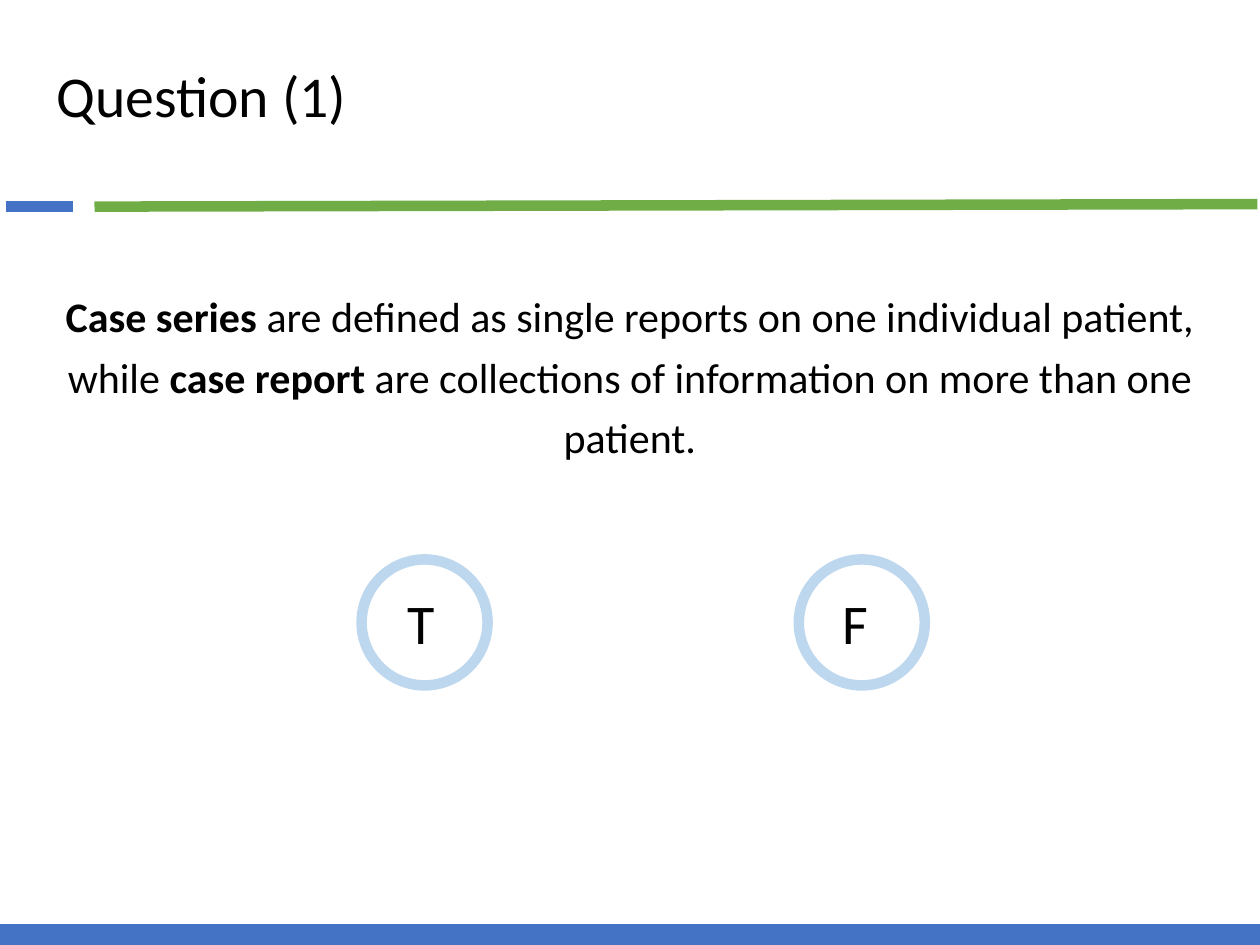
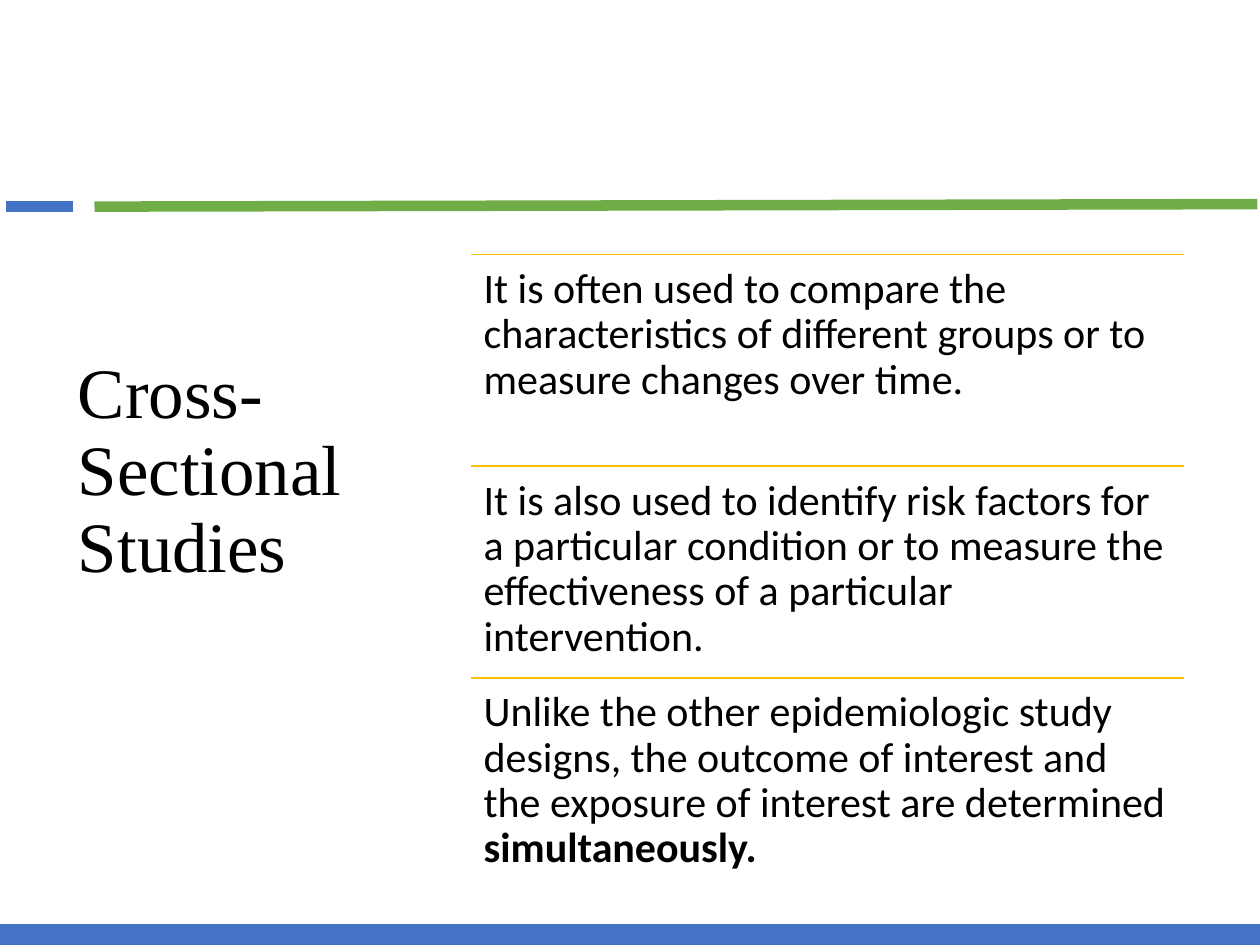
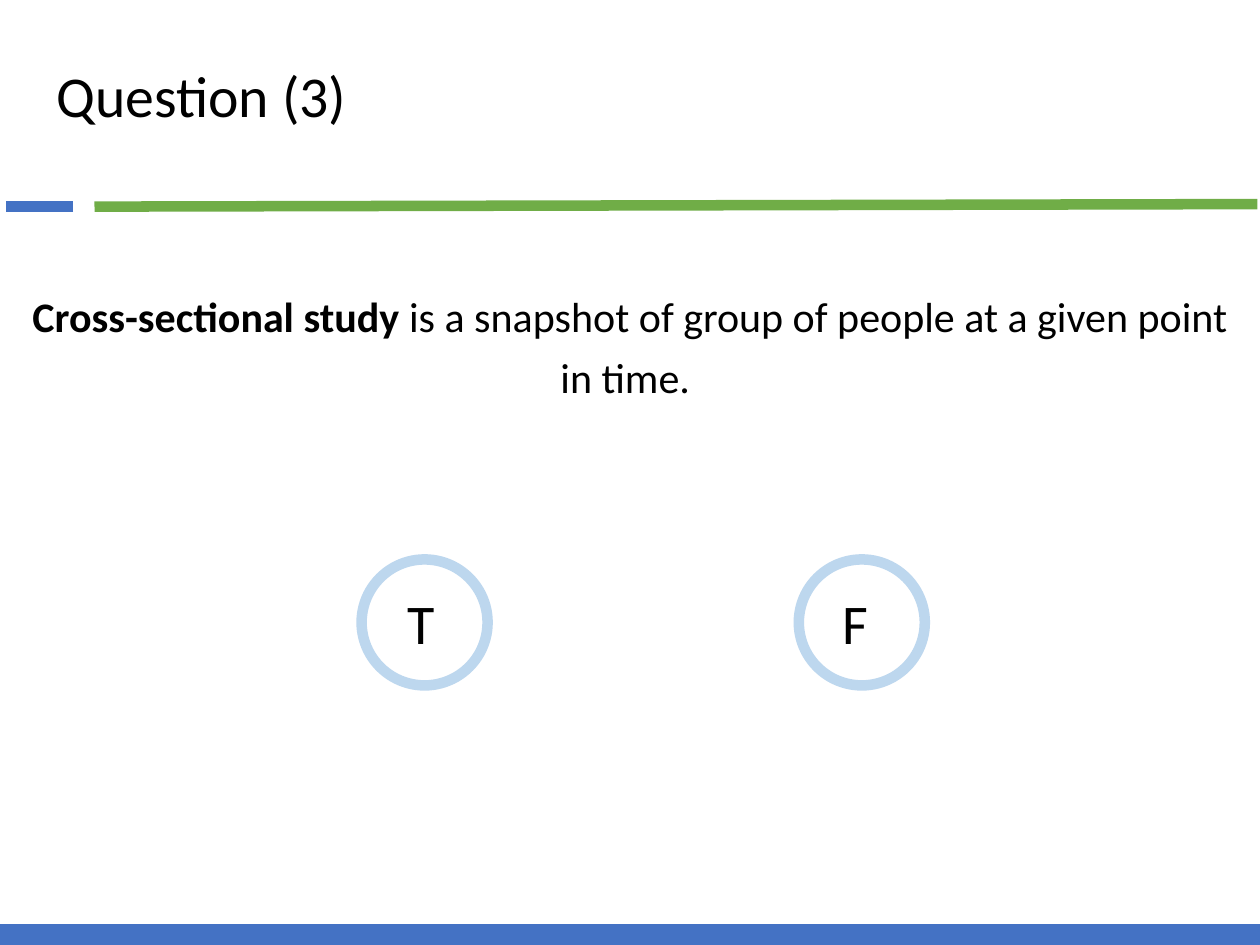
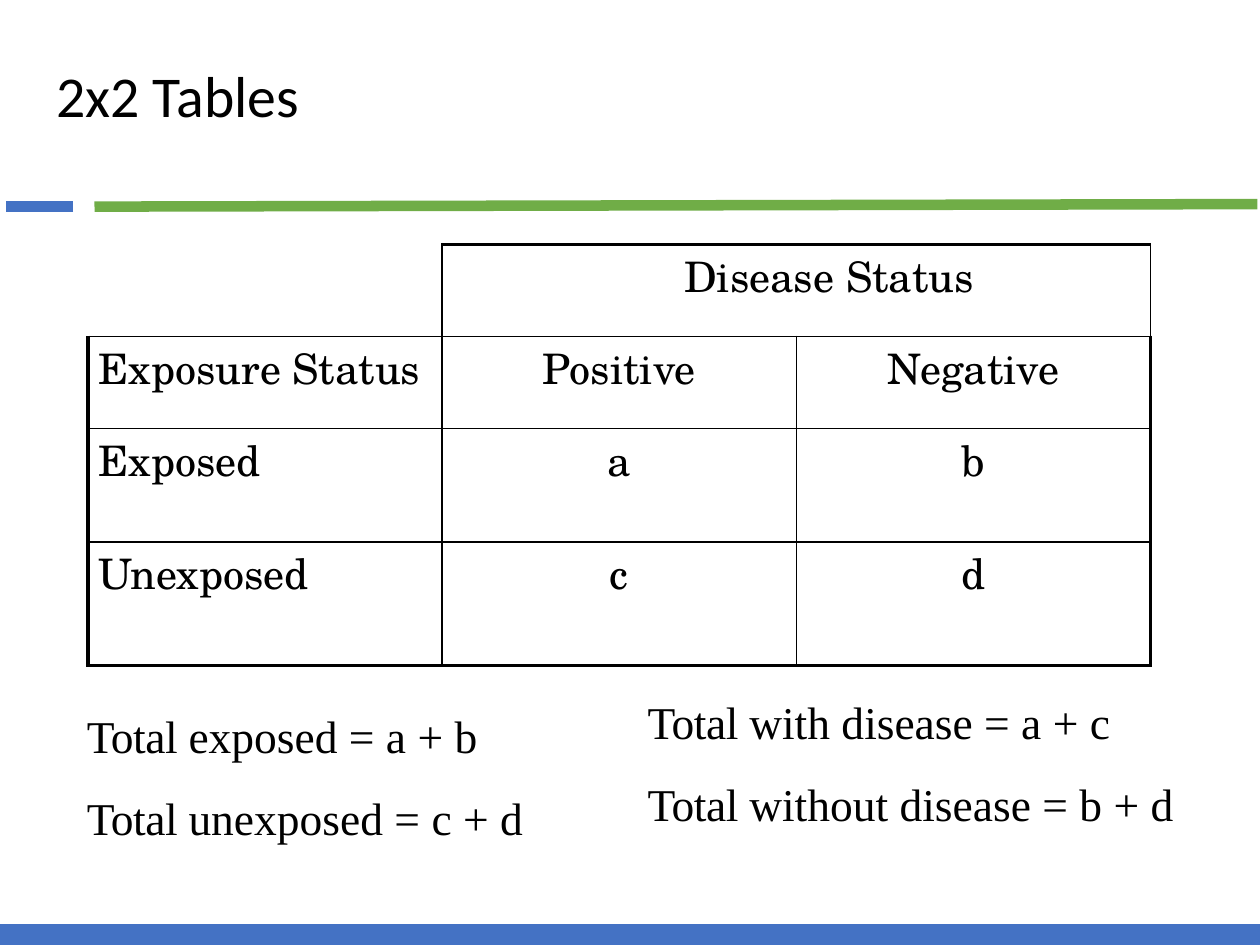
from lxml import etree
from pptx import Presentation
from pptx.dml.color import RGBColor
from pptx.enum.shapes import MSO_CONNECTOR, MSO_SHAPE
from pptx.enum.text import MSO_ANCHOR, PP_ALIGN
from pptx.oxml.ns import qn
from pptx.util import Pt

STRAIGHT, ELLIPSE = MSO_CONNECTOR.STRAIGHT, MSO_SHAPE.OVAL
TOP, MIDDLE = MSO_ANCHOR.TOP, MSO_ANCHOR.MIDDLE
LEFT, CENTER = PP_ALIGN.LEFT, PP_ALIGN.CENTER

# Lengths are px, 100 to the inch
EMU_PER_PX = 9144
SLIDE_SIZE = (1000, 750)
BLANK_LAYOUT = 6

BLACK, WHITE = "000000", "FFFFFF"
GREEN, BLUE, PALE_BLUE, GOLD = "70AD47", "4472C4", "BDD7EE", "FFC000"
SANS, SERIF, SCHOOL = "Calibri", "Times New Roman", "TeX Gyre Schola"

# Lines on every slide: start, end, colour, width in points
BANDS = [
    ((998, 162), (75, 164), GREEN, 6),
    ((58, 164), (5, 164), BLUE, 6),
    ((1000, 742), (0, 742), BLUE, 12),
]
TITLE_BOX = (35, 22, 955, 112)
SIDE_TITLE_BOX = (52, 146, 280, 458)
DEFAULT_INSETS = (10, 5, 10, 5)

# Questions: statement as (text, bold) parts
QUESTION_1 = ("Question (1)", [
    ("Case series ", True),
    ("are defined as single reports on one individual patient, while ", False),
    ("case report ", True),
    ("are collections of information on more than one patient.", False),
])
QUESTION_3 = ("Question (3)", [
    ("Cross-sectional study ", True),
    ("is a snapshot of group of people at a given point in time. ", False),
])
STATEMENT_BOX = (10, 218, 980, 196)
# Answers: left edge, (text, size, colour) parts
ANSWERS = [
    (287, [("T", 32, BLACK), (" ", 18, WHITE)]),
    (634, [("F ", 32, BLACK)]),
]
ANSWER_TOP, ANSWER_SIZE = 444, 100

# Cross-sectional studies
STUDY_TITLE = "Cross- Sectional Studies"
STUDY_POINTS = [
    [("It is often used to compare the characteristics of different groups "
      "or to measure changes over time.", False)],
    [("It is also used to identify risk factors for a particular condition "
      "or to measure the effectiveness of a particular intervention.", False)],
    [("Unlike the other epidemiologic study designs, the outcome of interest "
      "and the exposure of interest are determined ", False),
     ("simultaneously.", True)],
]
POINT_LEFT, POINT_TOP, POINT_WIDTH, POINT_HEIGHT = 374, 202, 566, 168

# 2x2 table
TABLE_TITLE = "2x2 Tables"
TABLE_ROWS = [
    ["", "Disease Status", ""],
    ["Exposure Status", "Positive", "Negative"],
    ["Exposed", "a", "b"],
    ["Unexposed", "c", "d"],
]
TABLE_LEFT, TABLE_TOP, COLUMN_WIDTH = 70, 194, 281
ROW_HEIGHTS = [73, 73, 90, 98]
ROW_SPACE_BEFORE = [10.5, 11.1, 17.1, 20.1]
LABEL_INDENT, HEADING_INDENT = 8, 192
OUTER_BORDER, INNER_BORDER = 2.25, 1
# Totals: box, line spacing, space before the second line, endings after "Total "
TOTALS = [
    ((513, 551, 422, 110), 1, 15.6, ["with disease = a + c", "without disease = b + d"]),
    ((68, 540, 350, 131), 1.5, 0, ["exposed = a + b", "unexposed = c + d"]),
]


def px(length):
    return int(length * EMU_PER_PX)


def rgb(value):
    return RGBColor.from_string(value)


def add_line(slide, start, end, color, width):
    line = slide.shapes.add_connector(STRAIGHT, *map(px, start + end))
    line.line.color.rgb = rgb(color)
    line.line.width = Pt(width)
    etree.SubElement(line._element.spPr, qn("a:effectLst"))


def add_run(paragraph, text, size, font=SANS, color=BLACK, bold=False, tracking=0):
    run = paragraph.add_run()
    run.text = text
    run.font.size = Pt(size)
    run.font.name = font
    run.font.color.rgb = rgb(color)
    run.font.bold = bold
    if tracking:
        run.font._element.set("spc", str(round(tracking * 100)))


def format_paragraph(paragraph, align=LEFT, line_spacing=1, before=0, after=0):
    paragraph.alignment = align
    paragraph.line_spacing = line_spacing
    paragraph.space_before = Pt(before)
    paragraph.space_after = Pt(after)


def add_text_frame(slide, box, anchor=TOP, insets=DEFAULT_INSETS):
    frame = slide.shapes.add_textbox(*map(px, box)).text_frame
    frame.word_wrap = True
    frame.vertical_anchor = anchor
    (frame.margin_left, frame.margin_top,
     frame.margin_right, frame.margin_bottom) = map(px, insets)
    return frame


def add_title(slide, text, box=TITLE_BOX, size=33, font=SANS):
    paragraph = add_text_frame(slide, box, MIDDLE).paragraphs[0]
    format_paragraph(paragraph, line_spacing=0.9)
    add_run(paragraph, text, size, font)


def add_slide(presentation):
    slide = presentation.slides.add_slide(presentation.slide_layouts[BLANK_LAYOUT])
    for band in BANDS:
        add_line(slide, *band)
    return slide


def add_question_slide(presentation, title, statement):
    slide = add_slide(presentation)
    add_title(slide, title)
    paragraph = add_text_frame(slide, STATEMENT_BOX).paragraphs[0]
    format_paragraph(paragraph, CENTER, 1.2, 12, 12)
    for text, bold in statement:
        add_run(paragraph, text, 24, bold=bold)
    for left, parts in ANSWERS:
        circle = slide.shapes.add_shape(
            ELLIPSE, *map(px, (left, ANSWER_TOP, ANSWER_SIZE, ANSWER_SIZE)))
        circle.shadow.inherit = False
        circle.fill.background()
        circle.line.color.rgb = rgb(PALE_BLUE)
        circle.line.width = Pt(6)
        circle.text_frame.vertical_anchor = MIDDLE
        paragraph = circle.text_frame.paragraphs[0]
        paragraph.alignment = CENTER
        for text, size, color in parts:
            add_run(paragraph, text, size, color=color)


def add_study_slide(presentation):
    slide = add_slide(presentation)
    add_title(slide, STUDY_TITLE, SIDE_TITLE_BOX, 40.5, SERIF)
    for index, point in enumerate(STUDY_POINTS):
        top = POINT_TOP + index * POINT_HEIGHT
        add_line(slide, (POINT_LEFT, top), (POINT_LEFT + POINT_WIDTH, top), GOLD, 1)
        frame = add_text_frame(slide, (POINT_LEFT, top, POINT_WIDTH, POINT_HEIGHT),
                               insets=(10, 10, 10, 10))
        format_paragraph(frame.paragraphs[0], line_spacing=0.9, after=8.4)
        for text, bold in point:
            add_run(frame.paragraphs[0], text, 24, bold=bold)


def set_borders(cell, widths):
    properties = cell._tc.get_or_add_tcPr()
    for side, width in zip("LRTB", widths):
        line = etree.SubElement(properties, qn(f"a:ln{side}"), w=str(Pt(width)))
        if width:
            fill = etree.SubElement(line, qn("a:solidFill"))
            etree.SubElement(fill, qn("a:srgbClr"), val=BLACK)
        else:
            etree.SubElement(line, qn("a:noFill"))


def border_widths(row, column):
    """Thick outside, thin inside, open at the empty corner."""
    corner = row == 0 and column == 0
    edge = 0 if corner else OUTER_BORDER
    last_row, last_column = len(TABLE_ROWS) - 1, len(TABLE_ROWS[0]) - 1
    return (
        edge if column == 0 else INNER_BORDER,
        OUTER_BORDER if column == last_column else INNER_BORDER,
        edge if row == 0 else INNER_BORDER,
        OUTER_BORDER if row == last_row else INNER_BORDER,
    )


def add_status_table(slide):
    row_count, column_count = len(TABLE_ROWS), len(TABLE_ROWS[0])
    table = slide.shapes.add_table(
        row_count, column_count, px(TABLE_LEFT), px(TABLE_TOP),
        px(COLUMN_WIDTH * column_count), px(sum(ROW_HEIGHTS))).table
    table.first_row = table.horz_banding = False
    for column in table.columns:
        column.width = px(COLUMN_WIDTH)
    for row_index, texts in enumerate(TABLE_ROWS):
        table.rows[row_index].height = px(ROW_HEIGHTS[row_index])
        for column_index, text in enumerate(texts):
            cell = table.cell(row_index, column_index)
            set_borders(cell, border_widths(row_index, column_index))
            cell.fill.background()
            cell.margin_left = cell.margin_right = 0
            cell.margin_top = cell.margin_bottom = 0
            if not text:
                continue
            centered = row_index > 0 and column_index > 0
            paragraph = cell.text_frame.paragraphs[0]
            format_paragraph(paragraph, CENTER if centered else LEFT,
                             before=ROW_SPACE_BEFORE[row_index])
            if not centered:
                indent = HEADING_INDENT if row_index == 0 else LABEL_INDENT
                paragraph._p.get_or_add_pPr().set("marL", str(px(indent)))
            add_run(paragraph, text, 24, SCHOOL)
    table.cell(0, 1).merge(table.cell(0, 2))


def add_table_slide(presentation):
    slide = add_slide(presentation)
    add_title(slide, TABLE_TITLE)
    add_status_table(slide)
    for box, line_spacing, gap, endings in TOTALS:
        frame = add_text_frame(slide, box, insets=(1, 0, 0, 0))
        for index, ending in enumerate(endings):
            paragraph = frame.add_paragraph() if index else frame.paragraphs[0]
            format_paragraph(paragraph, line_spacing=line_spacing,
                             before=gap if index else 0)
            add_run(paragraph, "Total ", 26, SERIF, tracking=-0.3)
            add_run(paragraph, ending, 26, SERIF)


def main():
    presentation = Presentation()
    presentation.slide_width, presentation.slide_height = map(px, SLIDE_SIZE)
    add_question_slide(presentation, *QUESTION_1)
    add_study_slide(presentation)
    add_question_slide(presentation, *QUESTION_3)
    add_table_slide(presentation)
    presentation.save("out.pptx")


if __name__ == "__main__":
    main()
